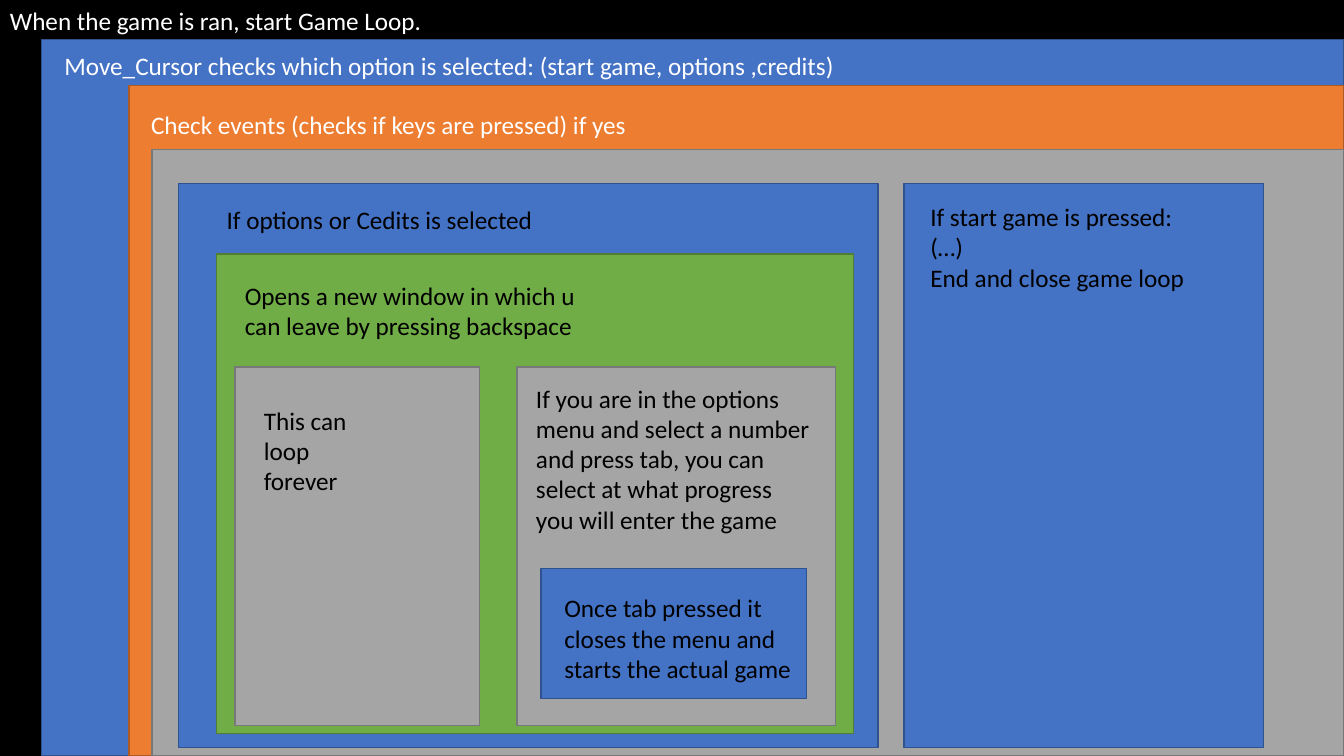
from dataclasses import dataclass

from pptx import Presentation
from pptx.dml.color import RGBColor
from pptx.enum.shapes import MSO_SHAPE as Shape
from pptx.enum.text import MSO_AUTO_SIZE as Fit
from pptx.slide import Slide
from pptx.util import Pt

BLACK = RGBColor(0x00, 0x00, 0x00)
WHITE = RGBColor(0xFF, 0xFF, 0xFF)
BLUE = RGBColor(0x44, 0x72, 0xC4)
NAVY = RGBColor(0x2F, 0x52, 0x8F)
ORANGE = RGBColor(0xED, 0x7D, 0x31)
RUST = RGBColor(0xAE, 0x5A, 0x21)
GREY = RGBColor(0xA5, 0xA5, 0xA5)
SLATE = RGBColor(0x78, 0x78, 0x78)
GREEN = RGBColor(0x70, 0xAD, 0x47)
MOSS = RGBColor(0x50, 0x7E, 0x32)

EDGES = {BLACK: BLACK, BLUE: NAVY, ORANGE: RUST, GREY: SLATE, GREEN: MOSS}
WIDTH, HEIGHT = 960, 540


@dataclass(frozen=True)
class Box:
    left: float
    top: float
    width: float
    height: float

    def lengths(self) -> tuple[Pt, Pt, Pt, Pt]:
        return Pt(self.left), Pt(self.top), Pt(self.width), Pt(self.height)


@dataclass(frozen=True)
class Label:
    box: Box
    lines: tuple[str, ...]
    color: RGBColor = BLACK


@dataclass(frozen=True)
class Panel:
    box: Box
    fill: RGBColor
    label: Label | None = None


def nested(left: float, top: float) -> Box:
    """Box that reaches the right and bottom edges of the slide."""
    return Box(left, top, WIDTH - left, HEIGHT - top)


PANELS = (
    Panel(nested(0, 0), BLACK, Label(
        Box(0, 0, 739.4, 51.1),
        ("When the game is ran, start Game Loop.",), WHITE)),
    Panel(nested(29.5, 28.1), BLUE, Label(
        Box(38.9, 32.4, 838.1, 28.8),
        ("Move_Cursor checks which option is selected: "
         "(start game, options ,credits)",), WHITE)),
    Panel(nested(92.2, 61.2), ORANGE, Label(
        Box(100.8, 74.2, 684.7, 28.8),
        ("Check events (checks if keys are pressed) if yes",), WHITE)),
    Panel(nested(108.7, 106.6), GREY),
    Panel(Box(127.4, 131, 499.7, 403.2), BLUE, Label(
        Box(154.8, 142.6, 427, 28.8),
        ("If options or Cedits is selected",))),
    Panel(Box(154.8, 181.4, 455, 342.7), GREEN, Label(
        Box(167.8, 196.6, 254.9, 51.1),
        ("Opens a new window in which u can leave by pressing backspace",))),
    Panel(Box(167.8, 262.1, 174.6, 256.3), GREY, Label(
        Box(181.4, 285.8, 77, 72.7),
        ("This can loop forever",))),
    Panel(Box(645.8, 131, 257, 403.2), BLUE, Label(
        Box(657.4, 140.4, 229.7, 94.3),
        ("If start game is pressed:", "(…)", "End and close game loop"))),
    Panel(Box(369.4, 262.1, 227.5, 256.3), GREY, Label(
        Box(375.8, 270, 213.8, 116.6),
        ("If you are in the options menu and select a number and press tab, "
         "you can select at what progress you will enter the game",))),
    Panel(Box(386.6, 406.1, 189.7, 92.9), BLUE, Label(
        Box(396, 419.8, 180.7, 72.7),
        ("Once tab pressed it closes the menu and starts the actual game",))),
)


def add_text(slide: Slide, box: Box, lines: tuple[str, ...], *,
             color: RGBColor = BLACK, size: float = 18,
             font: str = "Calibri") -> None:
    frame = slide.shapes.add_textbox(*box.lengths()).text_frame
    frame.word_wrap = True
    frame.auto_size = Fit.SHAPE_TO_FIT_TEXT
    for i, line in enumerate(lines):
        para = frame.add_paragraph() if i else frame.paragraphs[0]
        run = para.add_run()
        run.text = line
        run.font.name = font
        run.font.size = Pt(size)
        run.font.color.rgb = color


def add_panel(slide: Slide, panel: Panel) -> None:
    shape = slide.shapes.add_shape(Shape.RECTANGLE, *panel.box.lengths())
    shape.shadow.inherit = False
    shape.fill.solid()
    shape.fill.fore_color.rgb = panel.fill
    shape.line.color.rgb = EDGES[panel.fill]
    shape.line.width = Pt(1)
    if panel.label:
        add_text(slide, panel.label.box, panel.label.lines,
                 color=panel.label.color)


def main() -> None:
    deck = Presentation()
    deck.slide_width, deck.slide_height = Pt(WIDTH), Pt(HEIGHT)
    blank = deck.slide_layouts.get_by_name("Blank")
    slide = deck.slides.add_slide(blank)
    for panel in PANELS:
        add_panel(slide, panel)
    deck.save("out.pptx")


if __name__ == "__main__":
    main()
